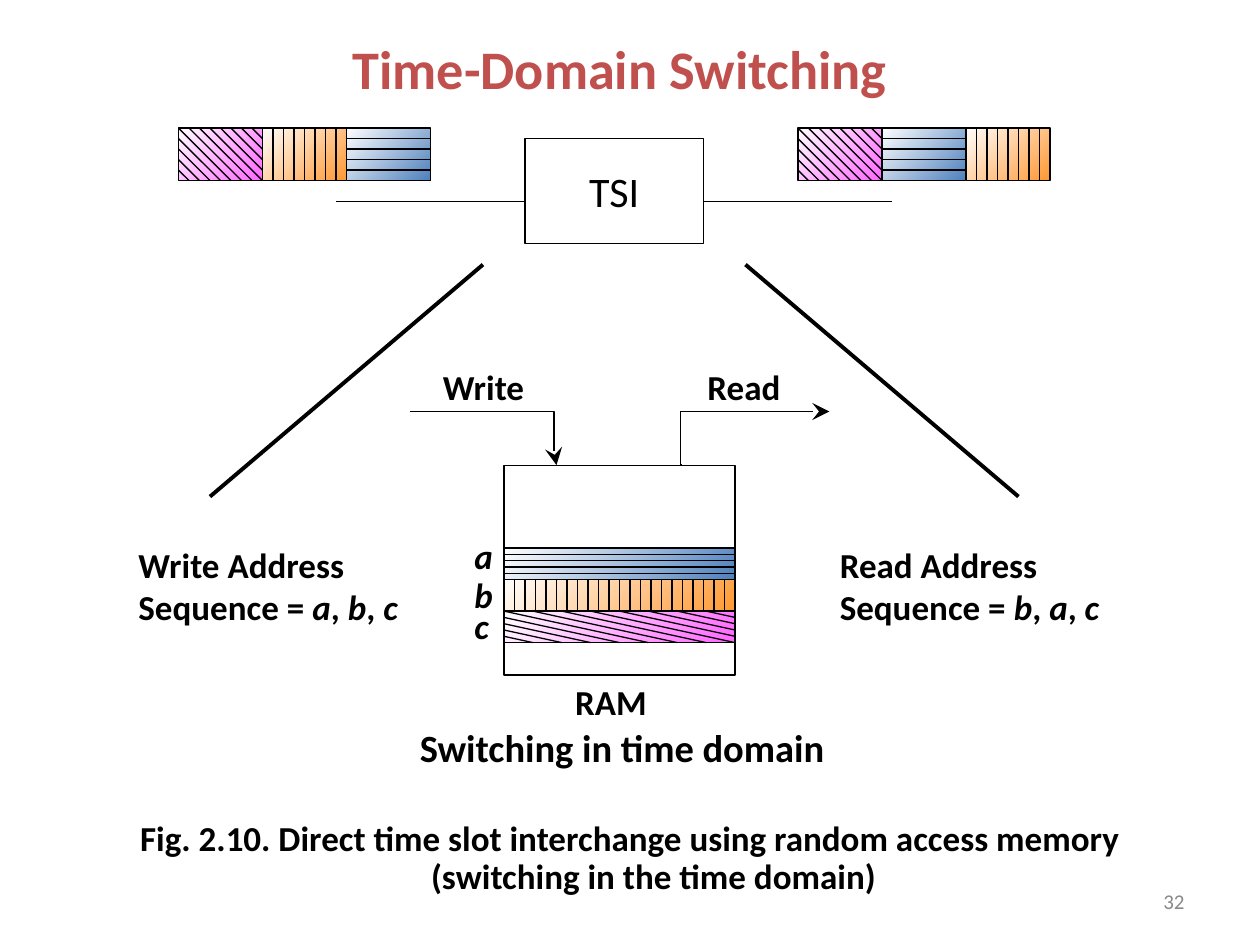
from pptx import Presentation
from pptx.dml.color import RGBColor
from pptx.enum.shapes import MSO_CONNECTOR, MSO_SHAPE
from pptx.enum.text import MSO_ANCHOR, PP_ALIGN
from pptx.oxml.ns import qn
from pptx.util import Emu, Pt
from lxml.etree import SubElement

BLACK = RGBColor(0x00, 0x00, 0x00)
WHITE = RGBColor(0xFF, 0xFF, 0xFF)
RED = RGBColor(0xC0, 0x50, 0x4D)
GRAY = RGBColor(0x89, 0x89, 0x89)
BLUE = RGBColor(0x4F, 0x81, 0xBD)
ORANGE = RGBColor(0xFF, 0x99, 0x33)
PINK = RGBColor(0xFF, 0x66, 0xFF)

SCALE = 7620
HATCH_COLUMNS, HATCH_ROWS, STRIPE_GAP = 8, 5, 10


def px(length):
    return Emu(round(length * SCALE))


class Diagram:
    font = "Calibri"
    thin = Pt(0.75)

    def __init__(self, page):
        self.page = page

    def add_spans(self, frame, spans, size, bold=True, color=BLACK, align=PP_ALIGN.LEFT):
        para = frame.paragraphs[0]
        para.alignment = align
        for text, italic in spans:
            span = para.add_run()
            span.text = text
            span.font.name = self.font
            span.font.size = Pt(size)
            span.font.bold = bold
            span.font.italic = italic
            span.font.color.rgb = color
        return para

    def text(self, left, top, width, height, spans, size=20, wrap=False,
             anchor=MSO_ANCHOR.TOP, **style):
        if isinstance(spans, str):
            spans = [(spans, False)]
        box = self.page.shapes.add_textbox(px(left), px(top), px(width), px(height))
        box.text_frame.word_wrap = wrap
        box.text_frame.vertical_anchor = anchor
        return self.add_spans(box.text_frame, spans, size, **style)

    def rectangle(self, left, top, width, height, color=None):
        box = self.page.shapes.add_shape(
            MSO_SHAPE.RECTANGLE, px(left), px(top), px(width), px(height))
        box.shadow.inherit = False
        box.line.color.rgb = BLACK
        box.line.width = self.thin
        if color is None:
            box.fill.background()
        else:
            box.fill.gradient()
            box.fill.gradient_angle = 315
            for stop, shade in zip(box.fill.gradient_stops, (WHITE, color)):
                stop.color.rgb = shade
        return box

    def line(self, x1, y1, x2, y2, width=thin, kind=MSO_CONNECTOR.STRAIGHT):
        line = self.page.shapes.add_connector(kind, px(x1), px(y1), px(x2), px(y2))
        line.line.color.rgb = BLACK
        line.line.width = width
        SubElement(line._element.spPr, qn("a:effectLst"))
        return line

    def elbow_arrow(self, x1, y1, x2, y2, bend):
        arrow = self.line(x1, y1, x2, y2, kind=MSO_CONNECTOR.ELBOW)
        properties = arrow._element.spPr
        guides = properties.find(qn("a:prstGeom")).find(qn("a:avLst"))
        SubElement(guides, qn("a:gd"), name="adj1", fmla=f"val {bend}")
        SubElement(properties.find(qn("a:ln")), qn("a:tailEnd"),
                   type="stealth", w="lg", len="lg")

    def blue_slot(self, left, top, width, height):
        self.rectangle(left, top, width, height, BLUE)
        for row in range(1, HATCH_ROWS):
            y = top + row * height / HATCH_ROWS
            self.line(left, y, left + width, y)

    def orange_slot(self, left, top, width, height):
        self.rectangle(left, top, width, height, ORANGE)
        for x in range(left + STRIPE_GAP, left + width, STRIPE_GAP):
            self.line(x, top, x, top + height)

    def pink_slot(self, left, top, width, height):
        self.rectangle(left, top, width, height, PINK)
        step_x, step_y = width / HATCH_COLUMNS, height / HATCH_ROWS
        for offset in range(1 - HATCH_ROWS, HATCH_COLUMNS):
            column, row = max(offset, 0), max(-offset, 0)
            steps = min(HATCH_COLUMNS - column, HATCH_ROWS - row)
            x, y = left + column * step_x, top + row * step_y
            self.line(x, y, x + steps * step_x, y + steps * step_y)


def main():
    deck = Presentation()
    deck.slide_width, deck.slide_height = px(1200), px(900)
    diagram = Diagram(deck.slides.add_slide(deck.slide_layouts[6]))
    blue, orange, pink = diagram.blue_slot, diagram.orange_slot, diagram.pink_slot

    diagram.text(80, 20, 1020, 90, "Time-Domain Switching", 31, True,
                 MSO_ANCHOR.MIDDLE, color=RED, align=PP_ALIGN.CENTER)

    for left, slots in ((170, (pink, orange, blue)), (760, (pink, blue, orange))):
        for index, slot in enumerate(slots):
            slot(left + index * 80, 122, 80, 50)

    switch = diagram.rectangle(500, 132, 170, 100)
    switch.text_frame.word_wrap = False
    switch.text_frame.vertical_anchor = MSO_ANCHOR.MIDDLE
    diagram.add_spans(switch.text_frame, [("TSI", False)], 24, bold=False,
                      align=PP_ALIGN.CENTER)
    for left in (320, 670):
        diagram.line(left, 192, left + 180, 192)
    diagram.line(460, 252, 200, 473, Pt(2.25))
    diagram.line(970, 473, 710, 252, Pt(2.25))

    diagram.rectangle(480, 443, 220, 200)
    for index, slot in enumerate((blue, orange, pink)):
        slot(480, 522 + index * 30, 220, 30)
    diagram.elbow_arrow(390, 392, 530, 443, 98300)
    diagram.elbow_arrow(650, 443, 790, 392, -1200)

    diagram.text(410, 342, 102, 53, "Write")
    diagram.text(662, 342, 94, 53, "Read")
    for top, letter in ((503, "a"), (540, "b"), (570, "c")):
        diagram.text(440, top, 40, 53, [(letter, True)])
    diagram.text(536, 642, 92, 53, "RAM")
    diagram.text(388, 684, 409, 56, "Switching in time domain", 22)

    for left, action, order in ((120, "Write", "abc"), (788, "Read", "bac")):
        first, second, third = order
        diagram.text(left, 512, 282, 92, [
            (f"{action} Address Sequence = ", False), (first, True), (", ", False),
            (second, True), (", ", False), (third, True)], wrap=True)

    caption = diagram.text(
        50, 773, 1100, 90,
        "Fig. 2.10. Direct time slot interchange using random access memory "
        "(switching in the time domain)",
        wrap=True, anchor=MSO_ANCHOR.MIDDLE, align=PP_ALIGN.CENTER)
    caption.line_spacing = 0.9
    indent = caption._p.get_or_add_pPr()
    indent.set("marL", str(px(45)))
    indent.set("indent", str(px(-45)))

    diagram.text(860, 834, 280, 48, "32", 12, True, MSO_ANCHOR.MIDDLE,
                 bold=False, color=GRAY, align=PP_ALIGN.RIGHT)
    deck.save("out.pptx")


if __name__ == "__main__":
    main()
